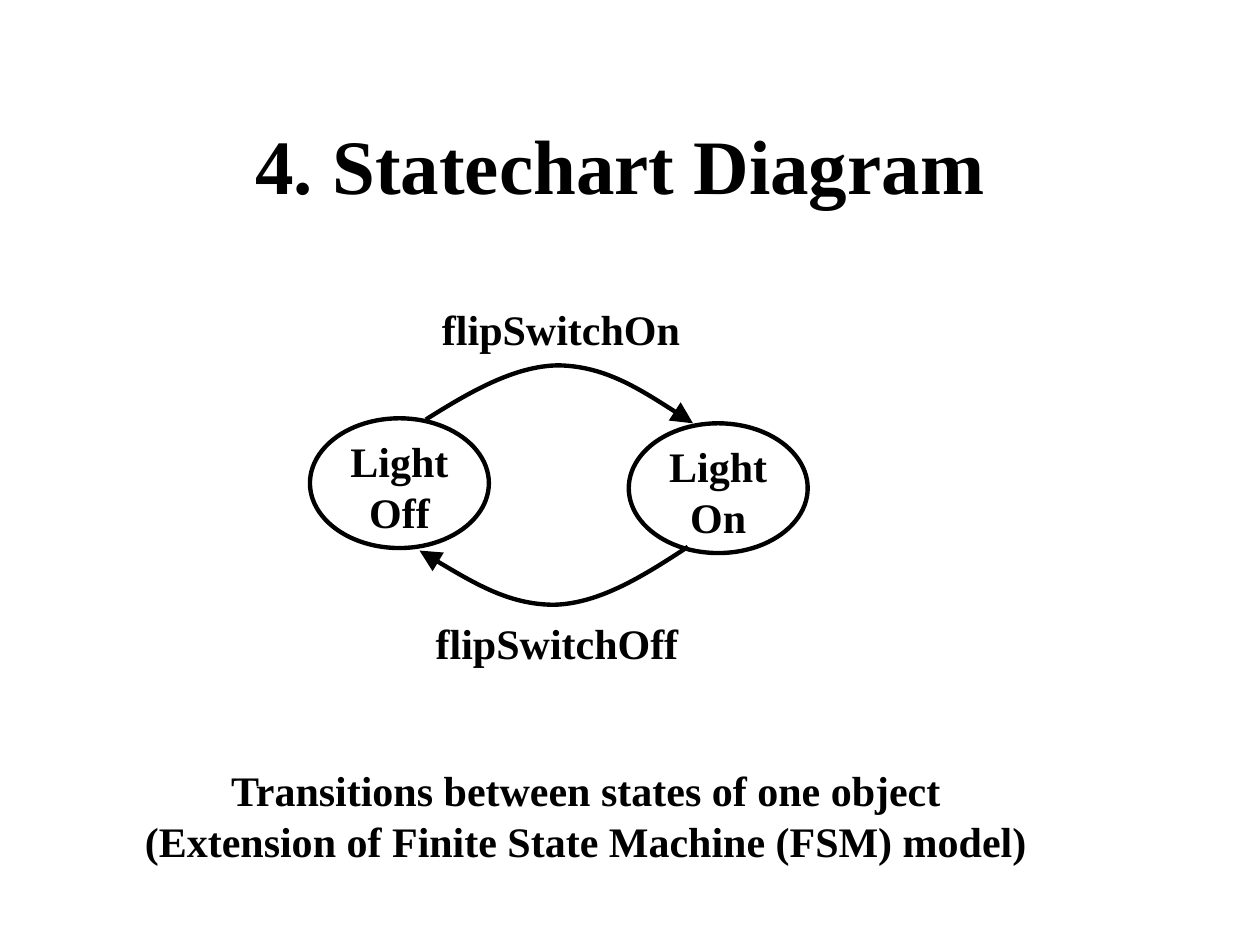
from lxml import etree
from pptx import Presentation
from pptx.dml.color import RGBColor
from pptx.enum.shapes import MSO_SHAPE
from pptx.enum.text import MSO_ANCHOR, MSO_AUTO_SIZE, PP_ALIGN
from pptx.oxml.ns import qn
from pptx.util import Inches, Pt

OVAL = MSO_SHAPE.OVAL
MIDDLE = MSO_ANCHOR.MIDDLE
FIT_SHAPE, FIXED_SIZE = MSO_AUTO_SIZE.SHAPE_TO_FIT_TEXT, MSO_AUTO_SIZE.NONE
LEFT, CENTER = PP_ALIGN.LEFT, PP_ALIGN.CENTER

COLORS = {"ink": "000000"}
INK = RGBColor.from_string(COLORS["ink"])
FONT = "Times New Roman"

presentation = Presentation()
presentation.slide_width = Inches(10)
presentation.slide_height = Inches(7.5)
slide = presentation.slides.add_slide(presentation.slide_layouts[6])


def add_bold_text(text, left, top, width, height, size=24, align=CENTER):
    box = slide.shapes.add_textbox(
        Inches(left), Inches(top), Inches(width), Inches(height))
    frame = box.text_frame
    frame.text = text
    frame.word_wrap = False
    frame.auto_size = FIT_SHAPE
    for paragraph in frame.paragraphs:
        paragraph.alignment = align
        font = paragraph.runs[0].font
        font.name = FONT
        font.size = Pt(size)
        font.bold = True
        font.color.rgb = INK
    return box


def outline(shape):
    """Leave the shape unfilled, with a plain black line."""
    shape.shadow.inherit = False
    shape.fill.background()
    shape.line.color.rgb = INK
    shape.line.width = Pt(2.5)


title = add_bold_text("4. Statechart Diagram ", 0.75, 0.67, 8.5, 1.25, size=44)
title.text_frame.auto_size = FIXED_SIZE
title.text_frame.word_wrap = True
title.text_frame.vertical_anchor = MIDDLE

add_bold_text("Transitions between states of one object\n"
              "(Extension of Finite State Machine (FSM) model)",
              1.05, 6.02, 7.2, 0.9)

# States
for state, left, top in [("Light\nOff", 2.46, 3.32), ("Light\nOn", 4.99, 3.36)]:
    add_bold_text(state, left + 0.22, top + 0.09, 0.98, 0.9)
    outline(slide.shapes.add_shape(
        OVAL, Inches(left), Inches(top), Inches(1.42), Inches(1.03)))

# Transitions: start point, then two control points and an end per curve
transitions = [
    [(3.38, 3.33), (3.73, 3.11), (4.09, 2.9), (4.44, 2.9),
     (4.8, 2.91), (5.15, 3.13), (5.5, 3.36)],
    [(5.46, 4.34), (5.11, 4.57), (4.76, 4.79), (4.4, 4.8),
     (4.05, 4.8), (3.69, 4.59), (3.33, 4.37)],
]
for points in transitions:
    start, *others = [(Inches(x), Inches(y)) for x, y in points]
    builder = slide.shapes.build_freeform(*start)
    builder.add_line_segments(others, close=False)
    arrow = builder.convert_to_shape()
    outline(arrow)

    # Turn each three straight segments into one Bezier curve
    arrow_path = arrow.element.find(".//" + qn("a:path"))
    segments = arrow_path.findall(qn("a:lnTo"))
    for first in range(0, len(segments), 3):
        curve = etree.SubElement(arrow_path, qn("a:cubicBezTo"))
        for segment in segments[first:first + 3]:
            curve.append(segment[0])
            arrow_path.remove(segment)

    line = arrow.element.spPr.find(qn("a:ln"))
    etree.SubElement(line, qn("a:tailEnd"), type="triangle", w="lg", len="lg")

# Transition labels, with a little room to spare so that neither wraps
for label, left, top in [("flipSwitchOn", 3.41, 2.36), ("flipSwitchOff", 3.36, 4.85)]:
    add_bold_text(label, left, top, 2.2, 0.5, align=LEFT)

presentation.save("out.pptx")
